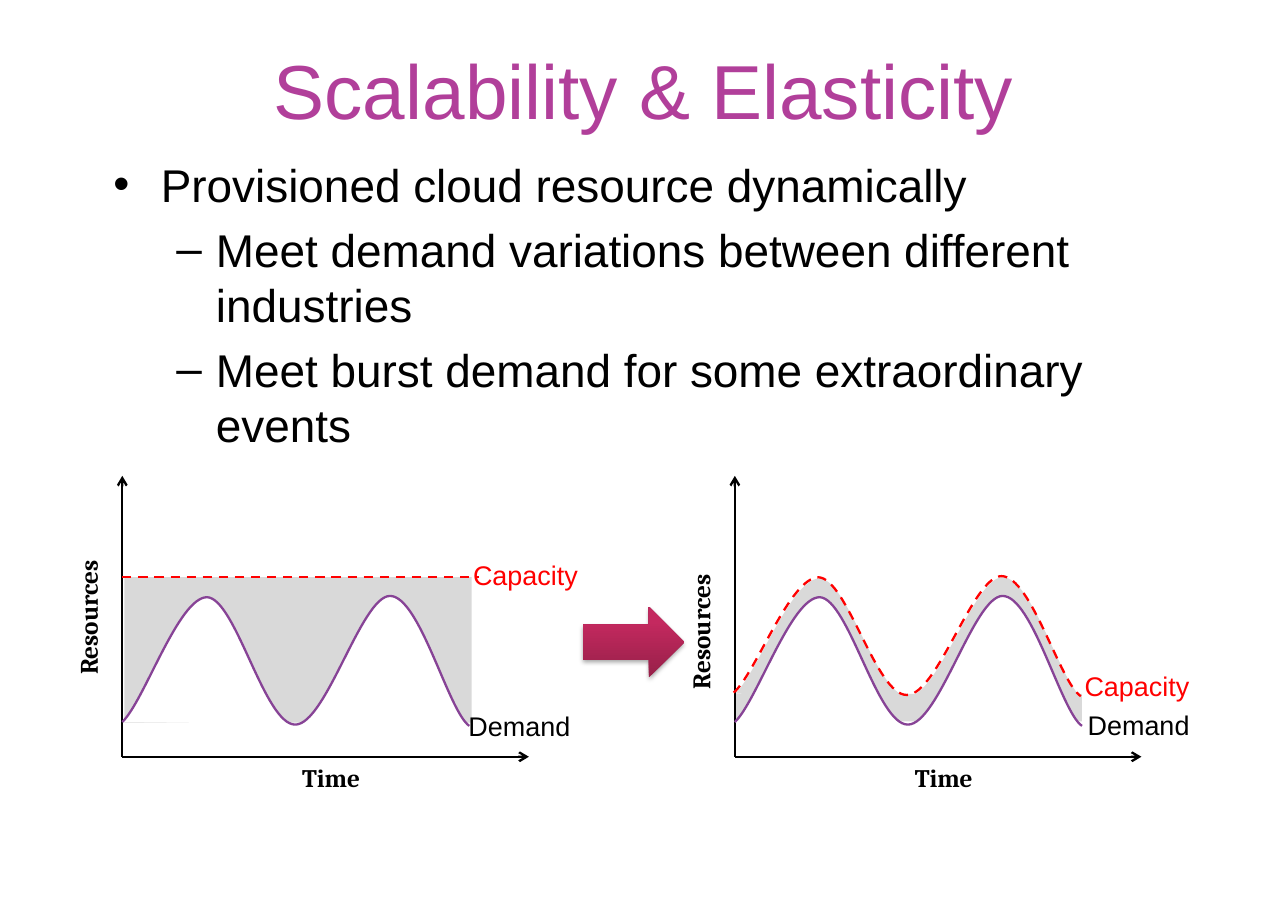
from lxml import etree
from pptx import Presentation
from pptx.dml.color import RGBColor
from pptx.enum import dml, shapes, text
from pptx.oxml import parse_xml
from pptx.oxml.ns import nsdecls, qn
from pptx.util import Inches, Pt

BLACK, RED, PURPLE, GREY, WHITE = "000000", "FF0000", "874396", "D9D9D9", "FFFFFF"

# Bezier control points of the wave: x in inches, y as a share of its height
WAVE = [(0, 0.97), (0.2, 0.81), (0.51, 0.01), (0.77, 0.01), (1.03, 0.02),
        (1.29, 0.99), (1.57, 0.99), (1.85, 0.99), (2.17, 0), (2.43, 0),
        (2.7, 0), (2.96, 0.89), (3.15, 1)]
ORIGIN_Y, AXIS_TOP, AXIS_LENGTH = 6.87, 4.32, 3.69
CAPACITY_TOP, CAPACITY_HEIGHT = 5.24, 1.09
DEMAND_TOP, DEMAND_HEIGHT = 5.41, 1.18


def rgb(color):
    return RGBColor.from_string(color)


def style_font(p, size, color, name="Arial", bold=False):
    for r in p.runs:
        r.font.size, r.font.name, r.font.bold = Pt(size), name, bold
        r.font.color.rgb = rgb(color)


def style_line(line, color, dashed=False):
    line.color.rgb, line.width = rgb(color), Pt(1.5)
    if dashed:
        line.dash_style = dml.MSO_LINE.DASH


def place(sp, left, top, width, height):
    sp.left, sp.top = Inches(left), Inches(top)
    sp.width, sp.height = Inches(width), Inches(height)


def add_title(s, title):
    sp = s.shapes.title
    place(sp, 0.58, 0.33, 10.53, 0.96)
    sp.text_frame.text = title
    sp.text_frame.auto_size = text.MSO_AUTO_SIZE.NONE
    p = sp.text_frame.paragraphs[0]
    p.alignment = text.PP_ALIGN.CENTER
    style_font(p, 50, "B13F9A")


def add_bullets(s, items):
    """Fill the body with (level, wording) items."""
    sp = s.placeholders[1]
    place(sp, 0.93, 1.37, 9.88, 2.18)
    tf = sp.text_frame
    tf.auto_size = text.MSO_AUTO_SIZE.NONE
    for i, (level, wording) in enumerate(items):
        p = tf.add_paragraph() if i else tf.paragraphs[0]
        p.text, p.level = wording, level
        margin, hanging, mark = [(0.43, 0.43, "•"), (0.93, 0.36, "–")][level]
        pPr = p._p.get_or_add_pPr()
        pPr.set("marL", str(Inches(margin)))
        pPr.set("indent", str(-Inches(hanging)))
        etree.SubElement(pPr, qn("a:buChar")).set("char", mark)
        p.space_before = Pt(6.5 if i else 0)
        style_font(p, 30, BLACK)


def add_label(s, wording, left, top, width, height, vertical=False, **font):
    sp = s.shapes.add_textbox(Inches(left), Inches(top), Inches(width), Inches(height))
    tf = sp.text_frame
    tf.text, tf.word_wrap = wording, False
    if vertical:
        tf._txBody.bodyPr.set("vert", "vert270")
    p = tf.paragraphs[0]
    p.alignment = text.PP_ALIGN.CENTER
    style_font(p, **font)


def add_line(s, x1, y1, x2, y2, color, dashed=False, arrow=False):
    c = s.shapes.add_connector(shapes.MSO_CONNECTOR.STRAIGHT, Inches(x1),
                               Inches(y1), Inches(x2), Inches(y2))
    style_line(c.line, color, dashed)
    if arrow:
        etree.SubElement(c.line._get_or_add_ln(), qn("a:tailEnd")).set("type", "arrow")
    etree.SubElement(c._element.spPr, qn("a:effectLst"))


def add_grey_block(s, left, top, height):
    sp = s.shapes.add_shape(shapes.MSO_SHAPE.RECTANGLE, Inches(left), Inches(top),
                            Inches(3.15), Inches(height))
    sp.shadow.inherit = False
    sp.fill.solid()
    sp.fill.fore_color.rgb = rgb(GREY)
    sp.line.fill.background()


def bend_segments(sp):
    """Turn each three straight segments into one Bezier curve."""
    path = sp._element.spPr.find(".//" + qn("a:path"))
    segments = path.findall(qn("a:lnTo"))
    for i in range(0, len(segments), 3):
        curve = etree.SubElement(path, qn("a:cubicBezTo"))
        for segment in segments[i:i + 3]:
            curve.append(segment[0])
            path.remove(segment)


def add_wave(s, left, top, height, fill=None, line=None, dashed=False):
    start, *rest = [(Inches(left + x), Inches(top + y * height)) for x, y in WAVE]
    builder = s.shapes.build_freeform(*start)
    builder.add_line_segments(rest, close=False)
    sp = builder.convert_to_shape()
    bend_segments(sp)
    sp.shadow.inherit = False
    if fill:
        sp.fill.solid()
        sp.fill.fore_color.rgb = rgb(fill)
    else:
        sp.fill.background()
    if line:
        style_line(sp.line, line, dashed)
    else:
        sp.line.fill.background()


def add_plot(s, left, resources_at, time_at, demand_at, capacity_at):
    """Draw the axes, the demand wave and the labels of one plot."""
    add_line(s, left, ORIGIN_Y, left, AXIS_TOP, BLACK, arrow=True)
    add_line(s, left, ORIGIN_Y, left + AXIS_LENGTH, ORIGIN_Y, BLACK, arrow=True)
    add_wave(s, left, DEMAND_TOP, DEMAND_HEIGHT, WHITE, PURPLE)
    add_label(s, "Demand", *demand_at, 1.13, 0.4, size=17.6, color=BLACK)
    add_label(s, "Capacity", *capacity_at, 1.16, 0.4, size=17.6, color=RED)
    axis_font = dict(size=16.5, color=BLACK, name="Cambria", bold=True)
    add_label(s, "Time", *time_at, 0.75, 0.38, **axis_font)
    add_label(s, "Resources", *resources_at, 0.48, 1.19, vertical=True, **axis_font)


def add_arrow(s):
    sp = s.shapes.add_shape(shapes.MSO_SHAPE.RIGHT_ARROW, Inches(5.29), Inches(5.51),
                            Inches(0.92), Inches(0.64))
    sp.fill.gradient()
    sp.fill.gradient_angle = 90
    for stop, position, color in zip(sp.fill.gradient_stops, (0, 0.8),
                                     ("972049", "C4295F")):
        stop.position, stop.color.rgb = position, rgb(color)
    sp.line.fill.background()
    sp._element.spPr.append(parse_xml(
        f'<a:effectLst {nsdecls("a")}><a:outerShdw blurRad="{Pt(3.1)}" '
        f'dist="{Pt(1.8)}" dir="5400000" rotWithShape="0"><a:srgbClr val="000000">'
        '<a:alpha val="35000"/></a:srgbClr></a:outerShdw></a:effectLst>'))


def main():
    prs = Presentation()
    prs.slide_width, prs.slide_height = Inches(11.69), Inches(8.27)
    s = prs.slides.add_slide(prs.slide_layouts[1])
    add_title(s, "Scalability & Elasticity")
    add_bullets(s, [(0, "Provisioned cloud resource dynamically"),
                    (1, "Meet demand variations between different industries"),
                    (1, "Meet burst demand for some extraordinary events")])

    fixed, elastic = 1.11, 6.67
    add_grey_block(s, fixed + 0.02, CAPACITY_TOP, 1.32)
    add_plot(s, fixed, (0.61, 5.01), (2.63, 6.87), (4.15, 6.39), (4.19, 5.02))
    add_line(s, fixed, CAPACITY_TOP, 4.35, CAPACITY_TOP, RED, dashed=True)

    add_grey_block(s, elastic, 6.3, 0.25)
    add_wave(s, elastic, CAPACITY_TOP, CAPACITY_HEIGHT, GREY)
    add_plot(s, elastic, (6.17, 5.14), (8.19, 6.87), (9.77, 6.38), (9.74, 6.03))
    add_wave(s, elastic - 0.01, CAPACITY_TOP - 0.01, CAPACITY_HEIGHT, line=RED,
             dashed=True)

    add_arrow(s)
    prs.save("out.pptx")


if __name__ == "__main__":
    main()
